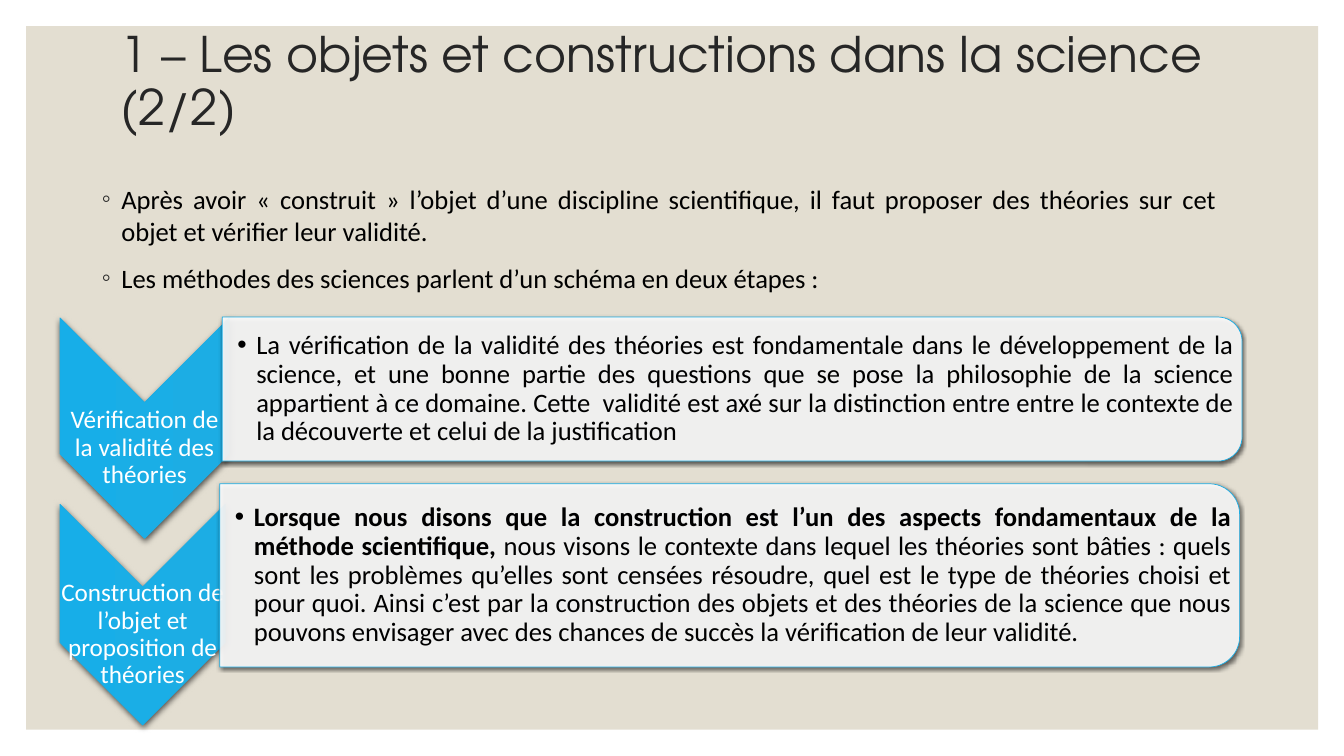
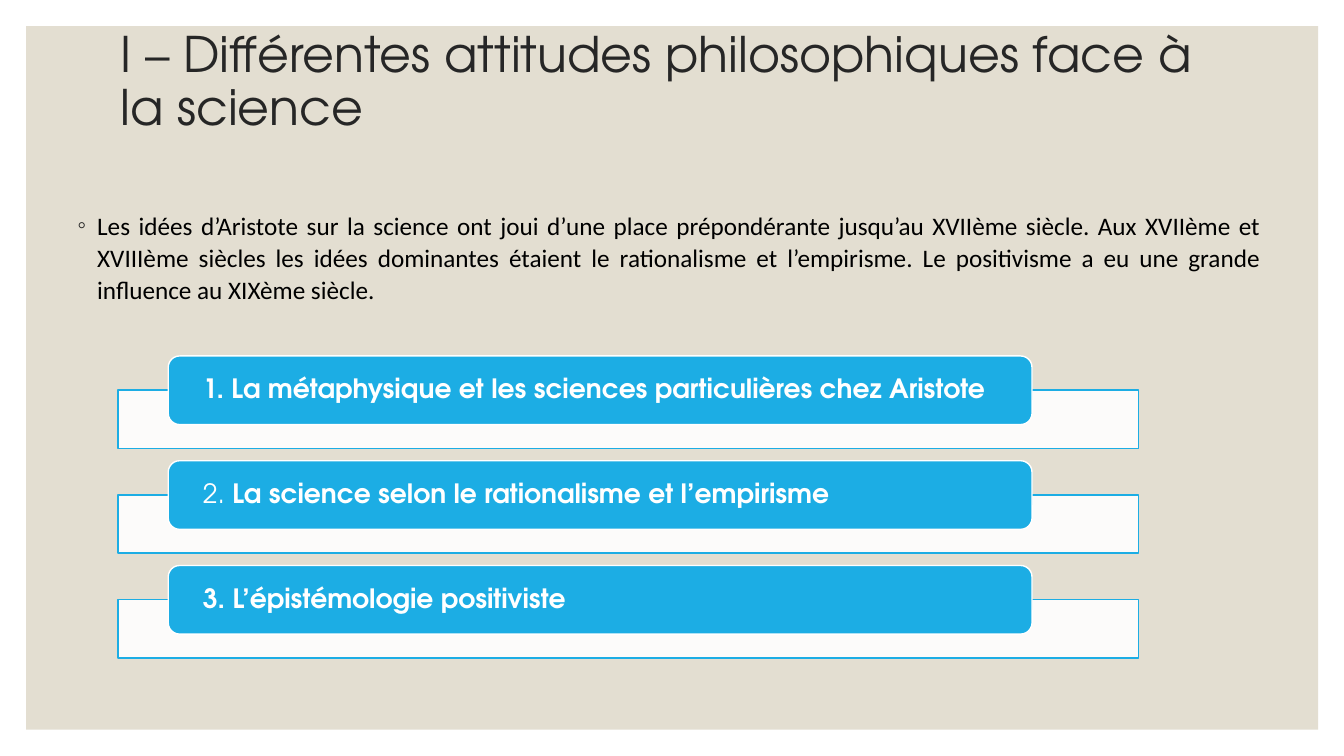
from lxml.etree import SubElement
from pptx import Presentation
from pptx.dml.color import RGBColor
from pptx.enum.shapes import MSO_SHAPE as Preset
from pptx.enum.text import MSO_ANCHOR as Anchor, PP_ALIGN as Align
from pptx.oxml.ns import qn
from pptx.util import Cm, Pt

COLORS = {
    "panel": "E3DED1",
    "title": "262626",
    "text": "000000",
    "accent": "1CADE4",
    "accent_end": "17AEE8",
    "white": "FFFFFF",
}
TITLE_FONT = "TeX Gyre Adventor"
BODY_FONT = "Calibri"


def rgb(name):
    return RGBColor.from_string(COLORS[name])


def write(shape, paras, *, size, font=BODY_FONT, color="text", align=Align.LEFT,
          anchor=Anchor.TOP, insets=(0.25, 0.13, 0.25, 0.13), spacing=None,
          gap=0, bullet=None, bullet_color="text", indent=0.5):
    """Fill a shape with paragraphs, each a list of (text, bold) spans."""
    frame = shape.text_frame
    frame.word_wrap = True
    frame.vertical_anchor = anchor
    (frame.margin_left, frame.margin_top,
     frame.margin_right, frame.margin_bottom) = map(Cm, insets)
    for index, spans in enumerate(paras):
        para = frame.add_paragraph() if index else frame.paragraphs[0]
        para.alignment = align
        if spacing:
            para.line_spacing = spacing
        if index:
            para.space_before = Pt(gap)
        if bullet:
            add_bullet(para, bullet, bullet_color, indent)
        for text, bold in spans:
            for number, line in enumerate(text.split("\n")):
                if number:
                    para.add_line_break()
                span = para.add_run()
                span.text = line
                span.font.name = font
                span.font.size = Pt(size)
                span.font.bold = bold
                span.font.color.rgb = rgb(color)


def add_bullet(para, symbol, color, indent):
    props = para._p.get_or_add_pPr()
    props.set("marL", str(Cm(indent)))
    props.set("indent", str(-Cm(indent)))
    tint = SubElement(props, qn("a:buClr"))
    SubElement(tint, qn("a:srgbClr"), val=COLORS[color])
    SubElement(props, qn("a:buFont"), typeface="Arial")
    SubElement(props, qn("a:buChar"), char=symbol)


def add_text(page, area, paras, **style):
    write(page.shapes.add_textbox(*map(Cm, area)), paras, **style)


def add_block(page, preset, area, fill, line=None, weight=1, opacity=None):
    shape = page.shapes.add_shape(preset, *map(Cm, area))
    shape.shadow.inherit = False
    shape.fill.solid()
    shape.fill.fore_color.rgb = rgb(fill)
    if opacity:
        tint = shape.element.spPr.find(qn("a:solidFill"))[0]
        SubElement(tint, qn("a:alpha"), val=str(opacity * 1000))
    if line:
        shape.line.color.rgb = rgb(line)
        shape.line.width = Pt(weight)
    else:
        shape.line.fill.background()
    return shape


def add_turned_block(page, preset, area, fill, blur, distance, opacity=None):
    """Add a shadowed shape turned by 90°; area is what it covers once turned."""
    left, top, width, height = area
    shift = (width - height) / 2
    unturned = (left + shift, top - shift, height, width)
    shape = add_block(page, preset, unturned, fill, "accent", 0.5, opacity)
    shape.rotation = 90
    effects = shape.element.spPr.find(qn("a:effectLst"))
    shadow = SubElement(effects, qn("a:outerShdw"), blurRad=str(Pt(blur)),
                        dist=str(Pt(distance)), dir="5400000", rotWithShape="0")
    tint = SubElement(shadow, qn("a:srgbClr"), val=COLORS["text"])
    SubElement(tint, qn("a:alpha"), val="63000")
    return shape


def add_page(deck, title):
    page = deck.slides.add_slide(deck.slide_layouts[6])
    add_block(page, Preset.RECTANGLE, (0.66, 0.66, 32.56, 17.73), "panel")
    add_text(page, (2.79, 0.2, 27.94, 3.81), [[(title, False)]], size=35,
             font=TITLE_FONT, color="title", anchor=Anchor.MIDDLE, spacing=0.9)
    return page


def add_intro(page, area, texts, **style):
    add_text(page, area, [[(text, False)] for text in texts],
             align=Align.JUSTIFY, bullet="◦", bullet_color="title", **style)


def add_step(page, top, width, label, card_area, spans):
    """Add a chevron with its label, and the card that explains it."""
    left = 1.51
    chevron = add_turned_block(page, Preset.CHEVRON, (left, top, width, 5.56),
                               "accent", blur=4.5, distance=1.5)
    chevron.fill.gradient()
    chevron.fill.gradient_angle = 270
    for stop, name in zip(chevron.fill.gradient_stops, ("accent", "accent_end")):
        stop.color.rgb = rgb(name)
    add_text(page, (left, top + 2.28, width, 2), [[(label, False)]], size=18,
             color="white", align=Align.CENTER, anchor=Anchor.MIDDLE,
             insets=(0.03,) * 4, spacing=0.9)
    add_turned_block(page, Preset.ROUND_2_SAME_RECTANGLE, card_area, "white",
                     blur=3, distance=1, opacity=90)
    add_text(page, card_area, [spans], size=19, align=Align.JUSTIFY,
             anchor=Anchor.MIDDLE, insets=(0.38, 0.03, 0.21, 0.03),
             spacing=0.9, bullet="•", indent=0.48)


def add_topic(page, row, spans):
    offset = row * 2.64
    add_block(page, Preset.RECTANGLE, (2.97, 9.83 + offset, 25.73, 1.47),
              "white", "accent", opacity=90)
    pill = add_block(page, Preset.ROUNDED_RECTANGLE,
                     (4.24, 8.97 + offset, 21.77, 1.73), "accent", "white")
    write(pill, [spans], size=19, font=TITLE_FONT, color="white",
          anchor=Anchor.MIDDLE, insets=(0.79, 0, 0.79, 0), spacing=0.9)


def build_objects_page(deck):
    page = add_page(deck, "1 – Les objets et constructions dans la science\n(2/2)")
    add_step(page, 8.01, 4.27, "Vérification de la validité des théories",
             (5.6, 7.99, 25.7, 3.63), [
                 ("La vérification de la validité des théories est fondamentale dans le "
                  "développement de la science, et une bonne partie des questions que se "
                  "pose la philosophie de la science appartient à ce domaine. Cette  "
                  "validité est axé sur la distinction entre entre le contexte de la "
                  "découverte et celui de la justification", False)])
    add_step(page, 12.71, 4.17, "Construction de l’objet et proposition de théories",
             (5.54, 12.19, 25.7, 4.62), [
                 ("Lorsque nous disons que la construction est l’un des aspects "
                  "fondamentaux de la méthode scientifique,", True),
                 (" nous visons le contexte dans lequel les théories sont bâties : quels "
                  "sont les problèmes qu’elles sont censées résoudre, quel est le type de "
                  "théories choisi et pour quoi. Ainsi c’est par la construction des "
                  "objets et des théories de la science que nous pouvons envisager avec "
                  "des chances de succès la vérification de leur validité.", False)])
    add_intro(page, (2.31, 4.47, 28.6, 3.3), [
        "Après avoir « construit » l’objet d’une discipline scientifique, il faut "
        "proposer des théories sur cet objet et vérifier leur validité.",
        "Les méthodes des sciences parlent d’un schéma en deux étapes :",
    ], size=19, gap=11)


def build_attitudes_page(deck):
    page = add_page(deck, "I – Différentes attitudes philosophiques face à la science")
    add_intro(page, (1.7, 5.11, 30.33, 3.45), [
        "Les idées d’Aristote sur la science ont joui d’une place prépondérante "
        "jusqu’au XVIIème siècle. Aux XVIIème et XVIIIème siècles les idées dominantes "
        "étaient le rationalisme et l’empirisme. Le positivisme a eu une grande "
        "influence au XIXème siècle.",
    ], size=18, spacing=1.07)
    topics = [
        [("1. La métaphysique et les sciences particulières chez Aristote", True)],
        [("2. ", False), ("La science selon le rationalisme et l’empirisme", True)],
        [("3. L’épistémologie positiviste", True)],
    ]
    for row, spans in enumerate(topics):
        add_topic(page, row, spans)


def main():
    deck = Presentation()
    deck.slide_width, deck.slide_height = Cm(33.87), Cm(19.05)
    build_objects_page(deck)
    build_attitudes_page(deck)
    deck.save("out.pptx")


if __name__ == "__main__":
    main()
